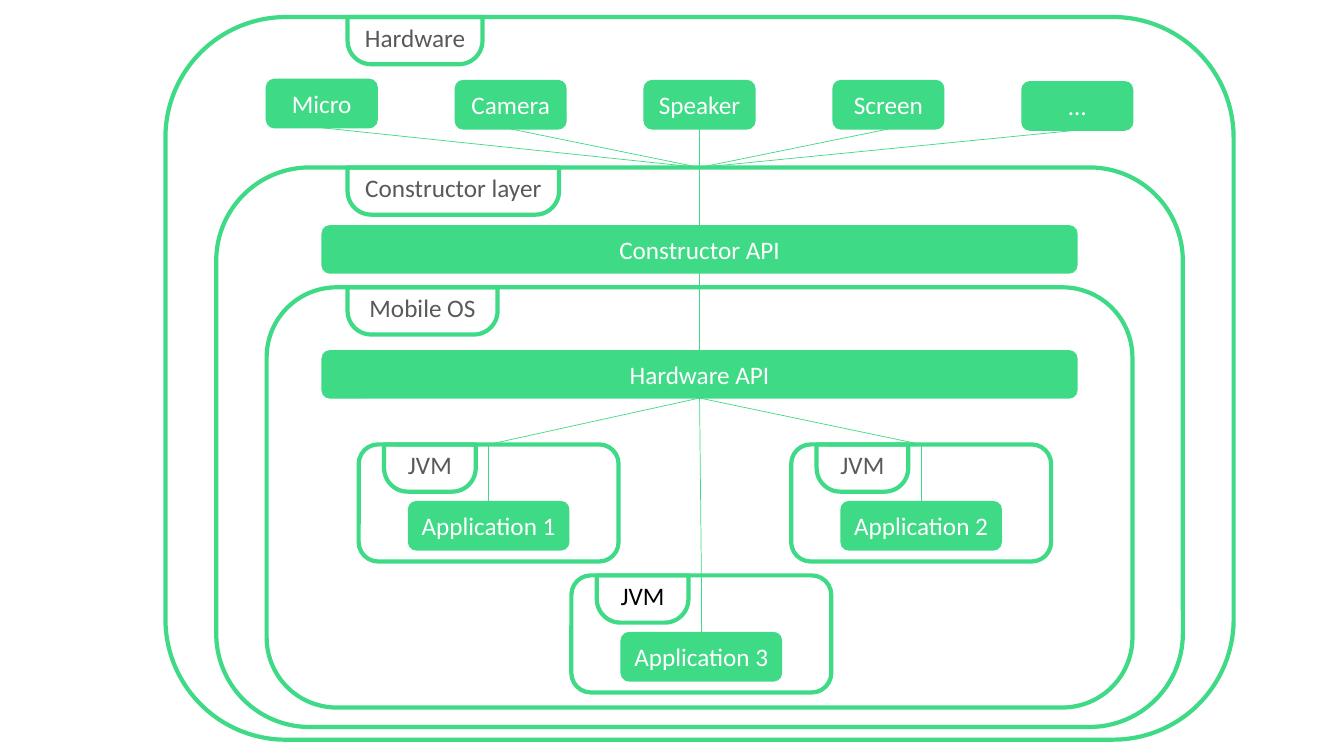
from dataclasses import dataclass

from lxml import etree
from pptx import Presentation
from pptx.dml.color import RGBColor
from pptx.enum.shapes import MSO_CONNECTOR, MSO_SHAPE
from pptx.enum.text import MSO_ANCHOR, MSO_AUTO_SIZE, PP_ALIGN
from pptx.oxml.ns import qn
from pptx.shapes.autoshape import Shape
from pptx.slide import Slide
from pptx.util import Cm, Pt

ROUNDED = MSO_SHAPE.ROUNDED_RECTANGLE
TAB = MSO_SHAPE.ROUND_2_SAME_RECTANGLE
STRAIGHT = MSO_CONNECTOR.STRAIGHT
CENTER = PP_ALIGN.CENTER
MIDDLE, TOP = MSO_ANCHOR.MIDDLE, MSO_ANCHOR.TOP
GROW = MSO_AUTO_SIZE.SHAPE_TO_FIT_TEXT

GREEN, GRAY, WHITE, BLACK = "3EDA86", "595959", "FFFFFF", "000000"
AXIS = 17.63
TAB_LEFT, TAB_HEIGHT = 8.76, 1.19
DEVICE_PITCH, DEVICE_WIDTH, BLOCK_HEIGHT = 4.76, 2.79, 1.22
API_WIDTH, API_HEIGHT = 19.02, 1.19
JVM_WIDTH, JVM_HEIGHT = 6.55, 2.95
JVM_TAB_OFFSET, JVM_TAB_WIDTH = 0.64, 2.31
APP_DROP, APP_WIDTH = 1.44, 4.04


@dataclass
class Layer:
    title: str
    top: float
    width: float
    height: float
    tab_width: float


@dataclass
class Block:
    label: str
    top: float


@dataclass
class Machine:
    application: str
    left: float
    top: float
    title_color: str = GRAY


HARDWARE = Layer("Hardware", 0.43, 26.92, 18.21, 3.4)
CONSTRUCTOR = Layer("Constructor layer", 4.22, 24.36, 14.1, 5.33)
SYSTEM = Layer("Mobile OS", 7.24, 21.82, 10.59, 3.78)
DEVICES = [
    Block("Micro", 2.0),
    Block("Camera", 2.03),
    Block("Speaker", 2.03),
    Block("Screen", 2.03),
    Block("…", 2.06),
]
CONSTRUCTOR_API = Block("Constructor API", 5.69)
HARDWARE_API = Block("Hardware API", 8.84)
MACHINES = [
    Machine("Application 1", 9.04, 11.2),
    Machine("Application 2", 19.94, 11.2),
    Machine("Application 3", 14.4, 14.5, BLACK),
]


def color(code: str) -> RGBColor:
    return RGBColor.from_string(code)


def draw_outline(slide: Slide, kind: MSO_SHAPE, left: float, top: float,
                 width: float, height: float, weight: float = 3) -> Shape:
    outline = slide.shapes.add_shape(kind, Cm(left), Cm(top), Cm(width), Cm(height))
    outline.shadow.inherit = False
    outline.fill.background()
    outline.line.color.rgb = color(GREEN)
    outline.line.width = Pt(weight)
    return outline


def write(shape: Shape, text: str, text_color: str, anchor: MSO_ANCHOR) -> None:
    frame = shape.text_frame
    frame.word_wrap = False
    frame.vertical_anchor = anchor
    paragraph = frame.paragraphs[0]
    paragraph.alignment = CENTER
    run = paragraph.add_run()
    run.text = text
    run.font.name = "Calibri"
    run.font.size = Pt(18)
    run.font.color.rgb = color(text_color)


def draw_tab(slide: Slide, title: str, left: float, top: float,
             width: float, title_color: str = GRAY) -> None:
    tab = draw_outline(slide, TAB, left, top, width, TAB_HEIGHT)
    tab.adjustments[0] = 0
    tab.adjustments[1] = 0.5
    write(tab, title, title_color, TOP)
    tab.text_frame.auto_size = GROW


def draw_block(slide: Slide, block: Block, center: float,
               width: float, height: float = BLOCK_HEIGHT) -> None:
    box = draw_outline(slide, ROUNDED, center - width / 2, block.top, width, height, 1)
    box.fill.solid()
    box.fill.fore_color.rgb = color(GREEN)
    write(box, block.label, WHITE, MIDDLE)


def draw_link(slide: Slide, x1: float, y1: float, x2: float, y2: float) -> None:
    link = slide.shapes.add_connector(STRAIGHT, Cm(x1), Cm(y1), Cm(x2), Cm(y2))
    link.line.color.rgb = color(GREEN)
    link.line.width = Pt(0.5)
    etree.SubElement(link._element.spPr, qn("a:effectLst"))


def draw_layer(slide: Slide, layer: Layer) -> None:
    draw_outline(slide, ROUNDED, AXIS - layer.width / 2, layer.top,
                 layer.width, layer.height)
    draw_tab(slide, layer.title, TAB_LEFT, layer.top, layer.tab_width)


def draw_machine(slide: Slide, machine: Machine) -> None:
    center = machine.left + JVM_WIDTH / 2
    application = Block(machine.application, machine.top + APP_DROP)
    draw_outline(slide, ROUNDED, machine.left, machine.top, JVM_WIDTH, JVM_HEIGHT)
    draw_tab(slide, "JVM", machine.left + JVM_TAB_OFFSET, machine.top,
             JVM_TAB_WIDTH, machine.title_color)
    draw_block(slide, application, center, APP_WIDTH)
    draw_link(slide, center, application.top, center, machine.top)
    draw_link(slide, AXIS, HARDWARE_API.top + API_HEIGHT, center, machine.top)


def main() -> None:
    deck = Presentation()
    deck.slide_width, deck.slide_height = Cm(33.87), Cm(19.05)
    slide = deck.slides.add_slide(deck.slide_layouts[6])

    for layer in (HARDWARE, CONSTRUCTOR, SYSTEM):
        draw_layer(slide, layer)
    for index, device in enumerate(DEVICES):
        center = AXIS + (index - len(DEVICES) // 2) * DEVICE_PITCH
        draw_block(slide, device, center, DEVICE_WIDTH)
        draw_link(slide, center, device.top + BLOCK_HEIGHT, AXIS, CONSTRUCTOR.top)
    for api in (CONSTRUCTOR_API, HARDWARE_API):
        draw_block(slide, api, AXIS, API_WIDTH, API_HEIGHT)
    for machine in MACHINES:
        draw_machine(slide, machine)

    draw_link(slide, AXIS, CONSTRUCTOR.top, AXIS, CONSTRUCTOR_API.top)
    draw_link(slide, AXIS, CONSTRUCTOR_API.top + API_HEIGHT, AXIS, SYSTEM.top)
    draw_link(slide, AXIS, SYSTEM.top, AXIS, HARDWARE_API.top)
    deck.save("out.pptx")


if __name__ == "__main__":
    main()
